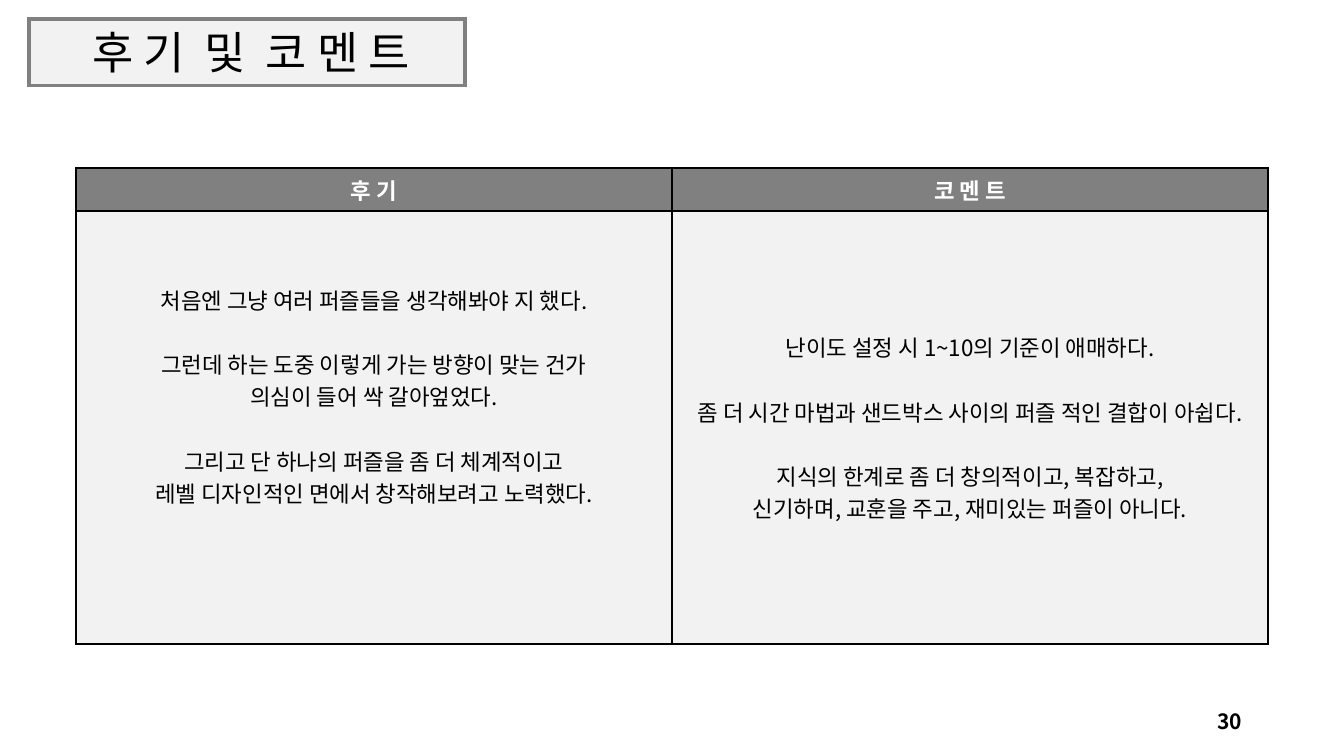
from dataclasses import dataclass

from lxml import etree
from pptx import Presentation
from pptx.dml.color import RGBColor
from pptx.enum.shapes import MSO_SHAPE
from pptx.enum.text import MSO_ANCHOR, MSO_AUTO_SIZE, PP_ALIGN
from pptx.oxml.ns import qn
from pptx.util import Pt

EMU_PER_INCH, PX_PER_INCH = 914400, 100.8
FONT = "Noto Sans CJK KR"
BLACK, WHITE, GRAY, PALE = "000000", "FFFFFF", "808080", "F2F2F2"
RECT = MSO_SHAPE.RECTANGLE
MIDDLE, BOTTOM = MSO_ANCHOR.MIDDLE, MSO_ANCHOR.BOTTOM
CENTER, RIGHT = PP_ALIGN.CENTER, PP_ALIGN.RIGHT
NO_FIT = MSO_AUTO_SIZE.NONE
TITLE_ONLY = 5
BORDER_TAGS = ("a:lnL", "a:lnR", "a:lnT", "a:lnB")
TITLE_WORDS = ("후 기", "및", "코 멘 트")
WORD_GAP = 7


@dataclass(frozen=True)
class Box:
    left: int
    top: int
    width: int
    height: int

    def emu(self) -> tuple[int, ...]:
        return tuple(px(v) for v in (self.left, self.top, self.width, self.height))


@dataclass(frozen=True)
class Style:
    size: int
    color: str = BLACK
    bold: bool = False


@dataclass(frozen=True)
class Column:
    heading: str
    blocks: tuple[tuple[str, ...], ...]
    bottom_margin: int = 5


FRAME = Box(29, 19, 436, 67)
TITLE = Box(42, 18, 418, 66)
PAGE = Box(950, 701, 302, 40)
TABLE = Box(76, 168, 1192, 476)
ROW_HEIGHTS = (43, 433)
BLOCK_GAP = 23
COLUMNS = (
    Column("후 기", (
        ("처음엔 그냥 여러 퍼즐들을 생각해봐야 지 했다.",),
        ("그런데 하는 도중 이렇게 가는 방향이 맞는 건가",
         "의심이 들어 싹 갈아엎었다."),
        ("그리고 단 하나의 퍼즐을 좀 더 체계적이고",
         "레벨 디자인적인 면에서 창작해보려고 노력했다."),
    ), bottom_margin=68),
    Column("코 멘 트", (
        ("난이도 설정 시 1~10의 기준이 애매하다.",),
        ("좀 더 시간 마법과 샌드박스 사이의 퍼즐 적인 결합이 아쉽다.",),
        ("지식의 한계로 좀 더 창의적이고, 복잡하고,",
         "신기하며, 교훈을 주고, 재미있는 퍼즐이 아니다."),
    )),
)


def px(value: int) -> int:
    return round(value * EMU_PER_INCH / PX_PER_INCH)


def rgb(color: str) -> RGBColor:
    return RGBColor.from_string(color)


def apply(target, values: dict) -> None:
    for name, value in values.items():
        setattr(target, name, value)


def add_run(p, text: str, style: Style, spacing: int = 0) -> None:
    r = p.add_run()
    r.text = text
    apply(r.font, {"size": Pt(style.size), "bold": style.bold, "name": FONT})
    r.font.color.rgb = rgb(style.color)
    rpr = r._r.get_or_add_rPr()
    etree.SubElement(rpr, qn("a:ea"), typeface=FONT)
    rpr.set("kern", "0")
    if spacing:
        rpr.set("spc", str(spacing * 100))


def add_title(s) -> None:
    frame = s.shapes.add_shape(RECT, *FRAME.emu())
    frame.shadow.inherit = False
    frame.fill.solid()
    frame.fill.fore_color.rgb = rgb(PALE)
    frame.line.color.rgb = rgb(GRAY)
    frame.line.width = Pt(2.25)
    ln = frame.element.spPr.find(qn("a:ln"))
    etree.SubElement(ln, qn("a:miter"), lim="800000")

    title = s.shapes.title
    title.element.addprevious(frame.element)
    apply(title, dict(zip(("left", "top", "width", "height"), TITLE.emu())))
    tf = title.text_frame
    apply(tf, {"auto_size": NO_FIT, "vertical_anchor": BOTTOM, "word_wrap": True})
    p = tf.paragraphs[0]
    apply(p, {"alignment": CENTER, "line_spacing": 0.9})
    style = Style(32)
    for i, word in enumerate(TITLE_WORDS):
        if i:
            add_run(p, " ", style, WORD_GAP)
        add_run(p, word, style)


def add_page_number(s) -> None:
    tf = s.shapes.add_textbox(*PAGE.emu()).text_frame
    apply(tf, {"word_wrap": True, "vertical_anchor": MIDDLE})
    p = tf.paragraphs[0]
    p.alignment = RIGHT
    add_run(p, "30", Style(15, bold=True))


def fill_cell(cell, blocks: tuple[tuple[str, ...], ...], style: Style, fill: str) -> None:
    tcpr = cell._tc.get_or_add_tcPr()
    for tag in BORDER_TAGS:
        ln = etree.SubElement(tcpr, qn(tag), w=str(Pt(1)))
        solid = etree.SubElement(ln, qn("a:solidFill"))
        etree.SubElement(solid, qn("a:srgbClr"), val=BLACK)
    cell.fill.solid()
    cell.fill.fore_color.rgb = rgb(fill)
    cell.vertical_anchor = MIDDLE
    tf = cell.text_frame
    for b, lines in enumerate(blocks):
        for i, line in enumerate(lines):
            p = tf.add_paragraph() if b or i else tf.paragraphs[0]
            p.alignment = CENTER
            if b and not i:
                p.space_before = Pt(BLOCK_GAP)
            add_run(p, line, style)


def add_review_table(s) -> None:
    table = s.shapes.add_table(len(ROW_HEIGHTS), len(COLUMNS), *TABLE.emu()).table
    for row, height in zip(table.rows, ROW_HEIGHTS):
        row.height = px(height)
    for c, column in enumerate(COLUMNS):
        table.columns[c].width = px(TABLE.width // len(COLUMNS))
        body = table.cell(1, c)
        fill_cell(table.cell(0, c), ((column.heading,),), Style(16, WHITE, True), GRAY)
        fill_cell(body, column.blocks, Style(16), PALE)
        body.margin_bottom = px(column.bottom_margin)


def main() -> None:
    """Build the review and comment slide."""
    prs = Presentation()
    apply(prs, {"slide_width": px(1344), "slide_height": px(756)})
    s = prs.slides.add_slide(prs.slide_layouts[TITLE_ONLY])
    add_title(s)
    add_page_number(s)
    add_review_table(s)
    prs.save("out.pptx")


if __name__ == "__main__":
    main()
